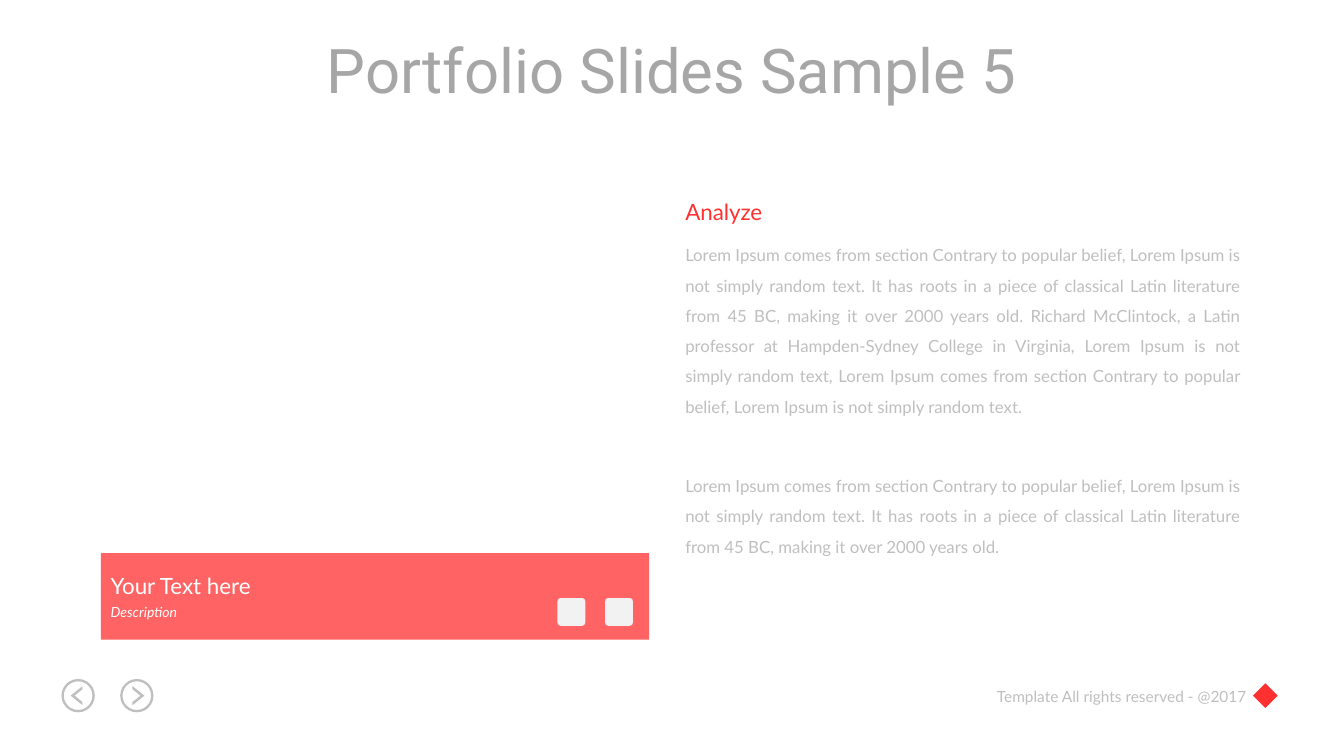
from pptx import Presentation
from pptx.dml.color import RGBColor
from pptx.enum.shapes import MSO_SHAPE as Shape
from pptx.enum.text import MSO_AUTO_SIZE as AutoSize, PP_ALIGN as Align
from pptx.oxml.ns import qn
from pptx.oxml.xmlchemy import OxmlElement
from pptx.util import Cm, Pt

COLORS = {"red": "FF3030", "gray": "BFBFBF", "title": "A6A6A6",
          "white": "FFFFFF", "icon": "F2F2F2"}

INTRO = ("Lorem Ipsum comes from section Contrary to popular belief, Lorem Ipsum "
         "is not simply random text. It has roots in a piece of classical Latin "
         "literature from 45 BC, making it over 2000 years old.")
DETAIL = (" Richard McClintock, a Latin professor at Hampden-Sydney College in "
          "Virginia, Lorem Ipsum is not simply random text, Lorem Ipsum comes from "
          "section Contrary to popular belief, Lorem Ipsum is not simply random text.")


class SlideBuilder:
    def __init__(self, page, font="Lato"):
        self.page = page
        self.font = font

    def paint(self, shape, color, opacity=100):
        shape.shadow.inherit = False
        shape.fill.solid()
        shape.fill.fore_color.rgb = RGBColor.from_string(COLORS[color])
        shape.line.fill.background()
        if opacity < 100:
            alpha = OxmlElement("a:alpha")
            alpha.set("val", str(opacity * 1000))
            shape.element.spPr.find(".//" + qn("a:srgbClr")).append(alpha)

    def shape(self, kind, bounds, color, opacity=100, adjust=None):
        shape = self.page.shapes.add_shape(kind, *map(Cm, bounds))
        if adjust is not None:
            shape.adjustments[0] = adjust
        self.paint(shape, color, opacity)

    def outline(self, points, color):
        start, *rest = [(Cm(x), Cm(y)) for x, y in points]
        builder = self.page.shapes.build_freeform(*start)
        builder.add_line_segments(rest, close=True)
        self.paint(builder.convert_to_shape(), color)

    def text(self, words, bounds, size, color, wrap=False, align=Align.LEFT,
             spacing=None, **font_format):
        box = self.page.shapes.add_textbox(*map(Cm, bounds))
        frame = box.text_frame
        frame.word_wrap = wrap
        frame.auto_size = AutoSize.SHAPE_TO_FIT_TEXT
        para = frame.paragraphs[0]
        for name, value in {"alignment": align, "line_spacing": spacing}.items():
            setattr(para, name, value)
        span = para.add_run()
        span.text = words
        values = {"name": self.font, "size": Pt(size), **font_format}
        for name, value in values.items():
            setattr(span.font, name, value)
        span.font.color.rgb = RGBColor.from_string(COLORS[color])

    def nav_button(self, left, top, direction):
        """Ring with a chevron; direction is -1 for back, 1 for forward."""
        size = 0.84
        self.shape(Shape.DONUT, (left, top, size, size), "gray", adjust=0.07)
        center_x, center_y = left + size / 2, top + size / 2
        chevron = [(-0.11, -0.16), (0.09, 0), (-0.11, 0.16),
                   (-0.11, 0.24), (0.19, 0), (-0.11, -0.24)]
        self.outline([(center_x + direction * x, center_y + y)
                      for x, y in chevron], "gray")


deck = Presentation()
deck.slide_width, deck.slide_height = Cm(33.87), Cm(19.05)
slide = SlideBuilder(deck.slides.add_slide(deck.slide_layouts[6]))

# Footer: rights line, navigation and a small emblem clear of the text
slide.text("Template All rights reserved - @2017", (24.74, 17.18, 6.93, 0.74),
           11, "gray", align=Align.RIGHT)
for left, direction in ((1.55, -1), (3.03, 1)):
    slide.nav_button(left, 17.11, direction)
slide.shape(Shape.DIAMOND, (31.58, 17.22, 0.62, 0.62), "red")

# Title
slide.text("Portfolio Slides Sample 5", (7.62, 0.68, 18.64, 2.13), 44, "title",
           align=Align.CENTER, name="Roboto")

# Right column
column_left, column_width = 17.02, 14.5
slide.text("Analyze", (column_left, 4.86, 2.49, 0.94), 16, "red")
for words, top, height in ((INTRO + DETAIL, 5.8, 4.88), (INTRO, 11.61, 2.57)):
    slide.text(words, (column_left, top, column_width, height), 12, "gray",
               wrap=True, align=Align.JUSTIFY, spacing=1.5)

# Caption band with two plain social icons
band_left = 2.54
slide.shape(Shape.RECTANGLE, (band_left, 13.94, 13.82, 2.18), "red", opacity=75)
slide.text("Your Text here", (band_left, 14.3, 4.27, 0.94), 16, "white")
slide.text("Description", (band_left, 15.09, 2.21, 0.69), 10, "white", italic=True)
for left in (14.05, 15.25):
    slide.shape(Shape.ROUNDED_RECTANGLE, (left, 15.07, 0.7, 0.7), "icon", adjust=0.12)

deck.save("out.pptx")
